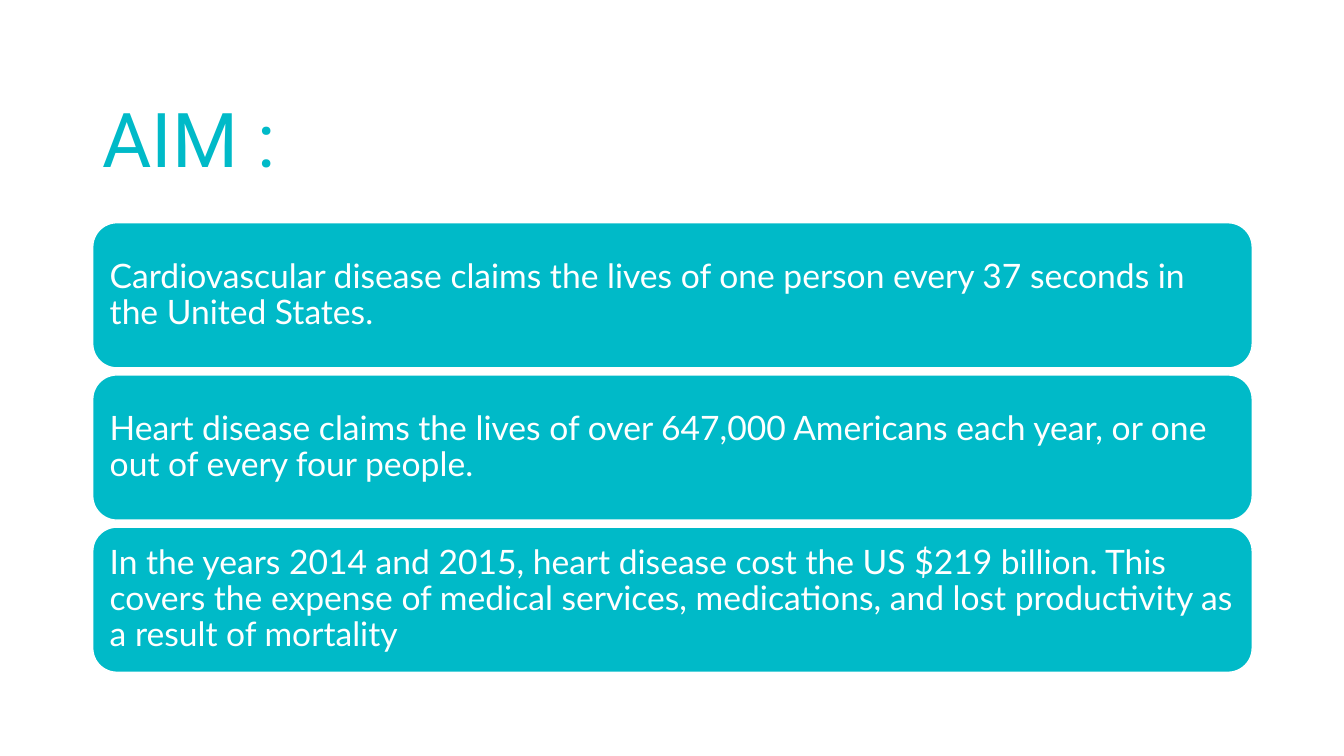
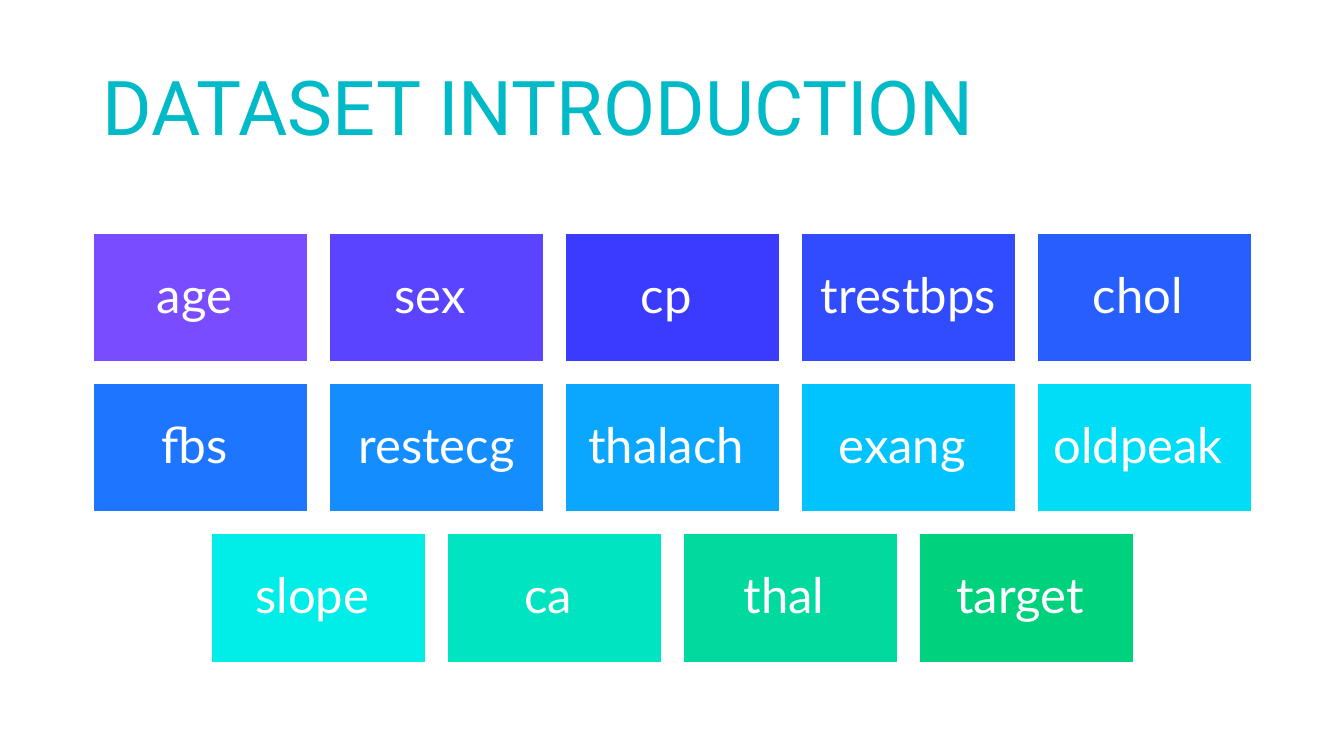
from pptx import Presentation
from pptx.dml.color import RGBColor
from pptx.enum.shapes import MSO_SHAPE
from pptx.enum.text import MSO_ANCHOR, PP_ALIGN
from pptx.util import Inches, Pt

RECT, ROUND = MSO_SHAPE.RECTANGLE, MSO_SHAPE.ROUNDED_RECTANGLE
MIDDLE, BOTTOM = MSO_ANCHOR.MIDDLE, MSO_ANCHOR.BOTTOM
LEFT, CENTER = PP_ALIGN.LEFT, PP_ALIGN.CENTER

COLORS = {"teal": "00BAC8", "white": "FFFFFF"}
HEAD, BODY = "Roboto", "Lato"
EDGE, WIDTH = 0.92, 11.5

AIMS = [
    "Cardiovascular disease claims the lives of one person every 37 seconds "
    "in the United States.",
    "Heart disease claims the lives of over 647,000 Americans each year, "
    "or one out of every four people.",
    "In the years 2014 and 2015, heart disease cost the US $219 billion. "
    "This covers the expense of medical services, medications, and lost "
    "productivity as a result of mortality",
]

# Each row of the dataset grid: label and tile colour
ROWS = [
    [("age ", "794DFF"), ("sex ", "5A44FF"), ("cp ", "3A3BFF"),
     ("trestbps ", "314CFF"), ("chol ", "275FFF")],
    [("fbs ", "1E75FF"), ("restecg", "148DFF"), ("thalach ", "0BA7FF"),
     ("exang ", "01C4FF"), ("oldpeak ", "00DDF7")],
    [("slope ", "00EDE8"), ("ca ", "00E4C2"), ("thal ", "00DA9E"),
     ("target ", "00D17D")],
]


def color(code):
    return RGBColor.from_string(code)


class Deck:
    """Holds the shared style and the current slide."""

    def __init__(self):
        self.prs = Presentation()
        self.prs.slide_width = Inches(13.33)
        self.prs.slide_height = Inches(7.5)
        self.slide = None

    def label(self, shape, text, font, size, ink, anchor, align, pad):
        frame = shape.text_frame
        frame.word_wrap = True
        frame.vertical_anchor = anchor
        frame.margin_left = frame.margin_right = Inches(pad[0])
        frame.margin_top = frame.margin_bottom = Inches(pad[1])
        frame.text = text
        para = frame.paragraphs[0]
        para.alignment = align
        para.line_spacing = 0.9
        style = para.runs[0].font
        style.name, style.size = font, Pt(size)
        style.color.rgb = color(COLORS[ink])

    def start(self, title, height):
        """Add a slide whose title sits at the foot of its box."""
        self.slide = self.prs.slides.add_slide(self.prs.slide_layouts[6])
        box = self.slide.shapes.add_textbox(
            Inches(EDGE), Inches(0.4), Inches(WIDTH), Inches(height))
        self.label(box, title, HEAD, 54, "teal", BOTTOM, LEFT, (0.1, 0.03))

    def block(self, kind, place, fill, text, size, align, pad):
        shape = self.slide.shapes.add_shape(kind, *map(Inches, place))
        shape.shadow.inherit = False
        shape.fill.solid()
        shape.fill.fore_color.rgb = color(fill)
        shape.line.color.rgb = color(COLORS["white"])
        shape.line.width = Pt(1)
        self.label(shape, text, BODY, size, "white", MIDDLE, align, (pad, pad))

    def card(self, top, height, text):
        self.block(ROUND, (EDGE, top, WIDTH, height), COLORS["teal"],
                   text, 24, LEFT, 0.1)

    def tile(self, place, fill, text):
        self.block(RECT, place, fill, text, 35, CENTER, 0.15)


def main():
    deck = Deck()

    # Aim: three stacked cards
    deck.start("AIM :", 1.45)
    high, gap = 1.44, 0.07
    for i, text in enumerate(AIMS):
        deck.card(2.21 + i * (high + gap), high, text)

    # Dataset: rows of tiles, each row centred
    deck.start("DATASET INTRODUCTION", 1.14)
    wide, high, gap = 2.13, 1.28, 0.21
    for i, row in enumerate(ROWS):
        span = len(row) * (wide + gap) - gap
        left = EDGE + (WIDTH - span) / 2
        top = 2.31 + i * (high + gap)
        for j, (text, fill) in enumerate(row):
            deck.tile((left + j * (wide + gap), top, wide, high), fill, text)

    deck.prs.save("out.pptx")


if __name__ == "__main__":
    main()
